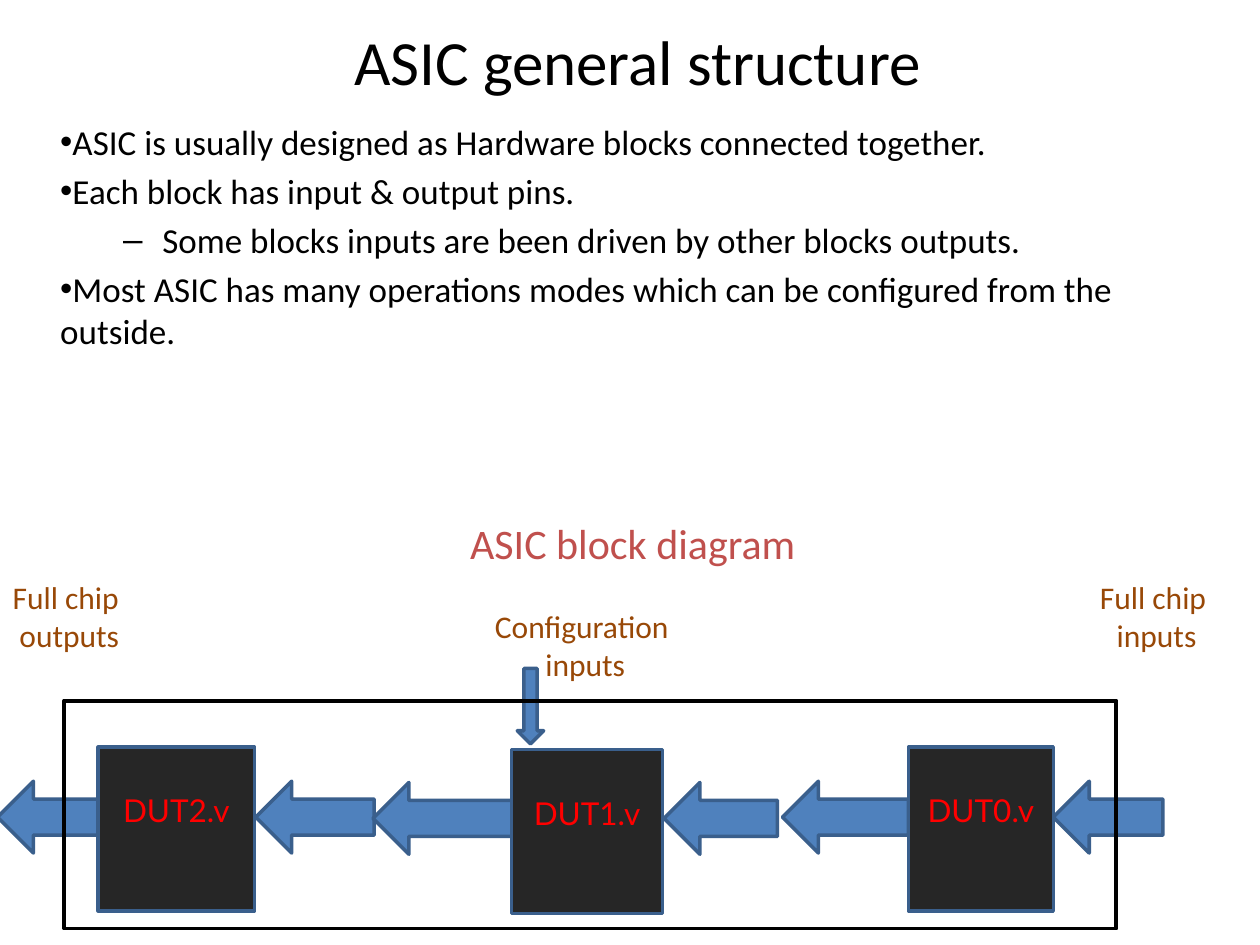
from lxml import etree
from pptx import Presentation
from pptx.dml.color import RGBColor
from pptx.enum.shapes import MSO_SHAPE as SHAPE
from pptx.enum.text import MSO_ANCHOR as ANCHOR, PP_ALIGN as ALIGN
from pptx.oxml.ns import qn
from pptx.util import Inches, Pt


def rgb(hex_color):
    return RGBColor.from_string(hex_color)


def add_text(box, lines, size, color, font="Calibri", align=ALIGN.CENTER):
    """Fill a shape with one paragraph per line, all in the same style."""
    tf = box.text_frame
    tf.text = "\n".join(lines)
    for p in tf.paragraphs:
        p.alignment = align
        for r in p.runs:
            r.font.size = Pt(size)
            r.font.name = font
            r.font.color.rgb = rgb(color)
    return tf


prs = Presentation()
prs.slide_width, prs.slide_height = Inches(10), Inches(7.5)
s = prs.slides.add_slide(prs.slide_layouts[6])

# Signal arrows: left, top, width, height, rotation
arrows = [
    (-0.02, 6.2, 0.81, 0.57, 180),
    (2.03, 6.2, 0.94, 0.57, 180),
    (2.96, 6.21, 1.11, 0.57, 180),
    (5.27, 6.21, 0.9, 0.57, 180),
    (6.21, 6.2, 1, 0.57, 180),
    (8.36, 6.2, 0.87, 0.57, 180),
    (3.91, 5.5, 0.6, 0.21, 90),
]
for *bounds, rotation in arrows:
    sp = s.shapes.add_shape(SHAPE.RIGHT_ARROW, *map(Inches, bounds))
    sp.rotation = rotation
    sp.shadow.inherit = False
    sp.fill.solid()
    sp.fill.fore_color.rgb = rgb("4F81BD")
    sp.line.color.rgb = rgb("3A5F8C")
    sp.line.width = Pt(2)

# Hardware blocks: name, left, top, width
blocks = [
    ("DUT2.v", 0.78, 5.93, 1.24),
    ("DUT1.v", 4.06, 5.95, 1.2),
    ("DUT0.v", 7.21, 5.93, 1.15),
]
for name, left, top, width in blocks:
    sp = s.shapes.add_shape(SHAPE.RECTANGLE, Inches(left), Inches(top),
                            Inches(width), Inches(1.3))
    sp.shadow.inherit = False
    sp.fill.solid()
    sp.fill.fore_color.rgb = rgb("262626")
    sp.line.color.rgb = rgb("3A5F8C")
    sp.line.width = Pt(2)
    tf = add_text(sp, [name], 18, "FF0000", font="Lato")
    tf.vertical_anchor = ANCHOR.MIDDLE
    tf.margin_bottom = Inches(0.35)  # lifts the name above the middle

# Chip outline
chip = s.shapes.add_shape(SHAPE.RECTANGLE, Inches(0.51), Inches(5.56),
                          Inches(8.35), Inches(1.81))
chip.shadow.inherit = False
chip.fill.background()
chip.line.color.rgb = rgb("000000")
chip.line.width = Pt(2.25)

# Pin labels
labels = [
    (["Full chip ", "inputs"], 8.63, 4.54, 1.1),
    (["Full chip ", "outputs"], 0, 4.54, 1.1),
    (["Configuration ", "inputs"], 3.82, 4.77, 1.65),
]
for lines, left, top, width in labels:
    box = s.shapes.add_textbox(Inches(left), Inches(top), Inches(width), Inches(0.7))
    tf = add_text(box, lines, 18, "984807")
    tf.word_wrap = False

# Slide title and diagram heading
headings = [
    ("ASIC general structure", 0, 36, "000000"),
    ("ASIC block diagram ", 3.83, 24, "C0504D"),
]
for text, top, size, color in headings:
    box = s.shapes.add_textbox(Inches(0.12), Inches(top), Inches(9.88), Inches(0.95))
    tf = add_text(box, [text], size, color)
    tf.word_wrap = True
    tf.vertical_anchor = ANCHOR.MIDDLE

# Bullets: text, level, bullet, left margin, first-line indent
bullets = [
    ("ASIC is usually designed as Hardware blocks connected together.", 0, "•", 0, 0),
    ("Each block has input & output pins.", 0, "•", 0, 0),
    ("Some blocks inputs are been driven by other blocks outputs.", 1, "–", 0.81, -0.31),
    ("Most ASIC has many operations modes which can be configured from the outside.",
     0, "•", 0, 0),
]
body = s.shapes.add_textbox(Inches(0.38), Inches(0.91), Inches(9), Inches(3.07))
tf = add_text(body, [b[0] for b in bullets], 20, "000000", align=ALIGN.LEFT)
tf.word_wrap = True
for i, (p, (_, level, bullet, margin, indent)) in enumerate(zip(tf.paragraphs, bullets)):
    p.level = level
    if i:
        p.space_before = Pt(4)
    pPr = p._p.get_or_add_pPr()
    pPr.set("marL", str(Inches(margin)))
    pPr.set("indent", str(Inches(indent)))
    etree.SubElement(pPr, qn("a:buFont"), typeface="Arial")
    etree.SubElement(pPr, qn("a:buChar"), char=bullet)

prs.save("out.pptx")
